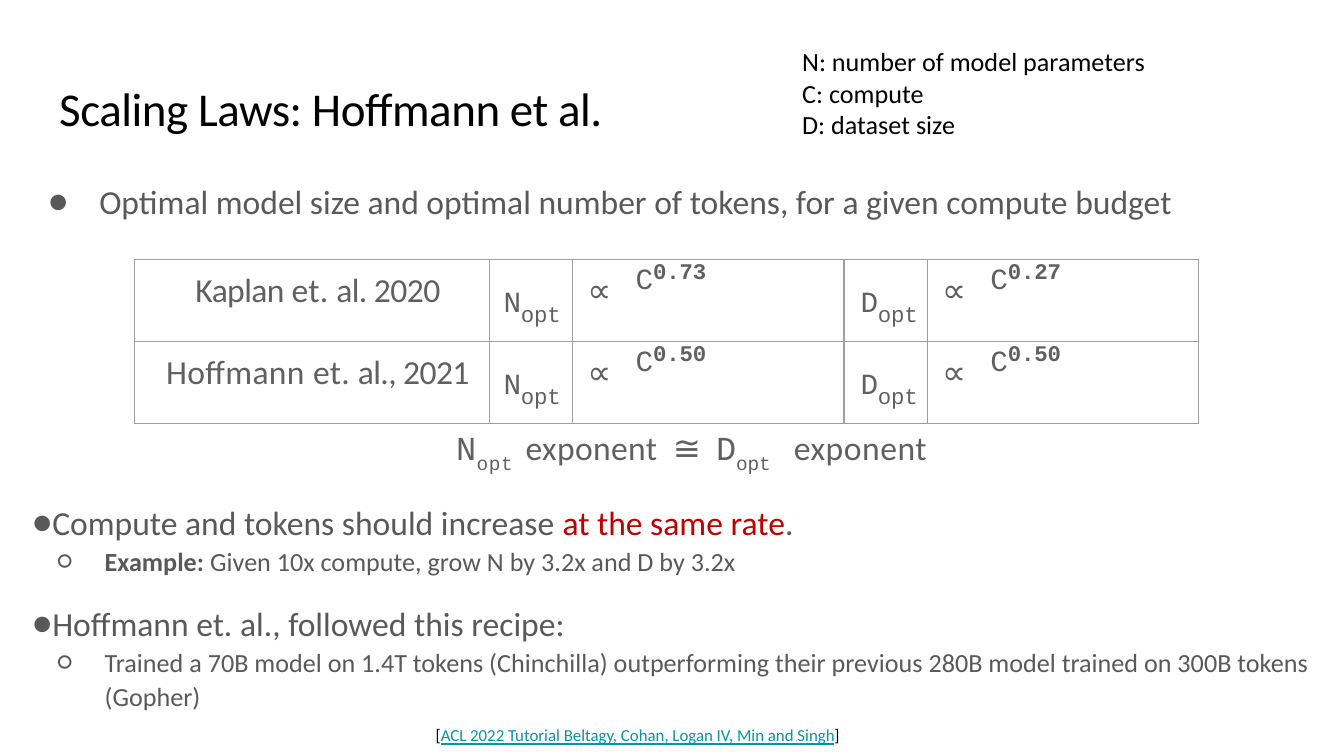
from pptx import Presentation
from pptx.dml.color import RGBColor
from pptx.enum.text import MSO_ANCHOR, PP_ALIGN
from pptx.oxml.ns import qn
from pptx.util import Pt
from lxml.etree import SubElement

PX = 9144
BLACK = RGBColor(0x00, 0x00, 0x00)
GRAY = RGBColor(0x59, 0x59, 0x59)
MID_GRAY = RGBColor(0x60, 0x60, 0x60)
RED = RGBColor(0xC0, 0x00, 0x00)
TEAL = RGBColor(0x00, 0x97, 0xA7)
BORDER = RGBColor(0x9E, 0x9E, 0x9E)
SANS = "Calibri"
MONO = "Courier New"


def px(n):
    return n * PX


def place(sp, box):
    sp.left, sp.top, sp.width, sp.height = [px(v) for v in box]


def set_frame(tf, inset_x=10, inset_y=10):
    tf.word_wrap = True
    tf.vertical_anchor = MSO_ANCHOR.TOP
    tf.margin_left = tf.margin_right = px(inset_x)
    tf.margin_top = tf.margin_bottom = px(inset_y)


def add_textbox(s, box, inset_y=10):
    sp = s.shapes.add_textbox(*[px(v) for v in box])
    set_frame(sp.text_frame, inset_y=inset_y)
    return sp.text_frame


def next_paragraph(tf):
    p = tf.paragraphs[0]
    return tf.add_paragraph() if p.runs else p


def add_run(p, text, size, color, face=SANS, spc=0, base=0, bold=False, underline=False):
    r = p.add_run()
    r.text = text
    f = r.font
    f.size, f.name, f.bold, f.underline = Pt(size), face, bold, underline
    f.color.rgb = color
    rPr = r._r.get_or_add_rPr()
    if spc:
        rPr.set("spc", str(round(spc * 100)))
    if base:
        rPr.set("baseline", str(base * 1000))


def indent(p, left, first=0):
    pPr = p._p.get_or_add_pPr()
    pPr.set("marL", str(px(left)))
    pPr.set("indent", str(px(first)))
    return pPr


def add_bullet(tf, char, left, first, spacing, before=0, level=0):
    p = next_paragraph(tf)
    p.level = level
    pPr = indent(p, left, first)
    clr = SubElement(pPr, qn("a:buClr"))
    SubElement(clr, qn("a:srgbClr"), val=str(GRAY))
    SubElement(pPr, qn("a:buFont"), typeface=SANS)
    SubElement(pPr, qn("a:buChar"), char=char)
    p.line_spacing = spacing
    if before:
        p.space_before = Pt(before)
    return p


def add_title(s, box):
    sp = s.shapes.title
    place(sp, box)
    set_frame(sp.text_frame)
    p = sp.text_frame.paragraphs[0]
    p.alignment = PP_ALIGN.LEFT
    add_run(p, "Scaling Laws: Hoﬀmann et al.", 25.2, BLACK, spc=-0.25)


def add_body(s, box):
    tf = add_textbox(s, box)
    p = add_bullet(tf, "●", 50, -38, 1.05)
    add_run(p, "Optimal model size and optimal number of tokens, for a given compute budget", 18, GRAY)

    p = next_paragraph(tf)
    p.alignment = PP_ALIGN.CENTER
    p.line_spacing = 0.9
    p.space_before = Pt(110)
    for text, face, base, spc in (
        ("N", MONO, 0, 0.2),
        ("opt ", MONO, -30, 0.3),
        ("exponent", SANS, 0, 0.2),
        (" ", SANS, 0, 4),
        ("≅", SANS, 0, 0),
        (" ", SANS, 0, 4),
        ("D", MONO, 0, -0.1),
        ("opt", MONO, -30, -0.1),
        (" ", MONO, -30, 6),
        ("exponent", SANS, 0, 0.3),
    ):
        add_run(p, text, 18, MID_GRAY, face, spc, base)

    p = add_bullet(tf, "●", 4, -38, 1.1, before=15.2)
    add_run(p, "Compute and tokens should increase ", 18, GRAY)
    add_run(p, "at the same rate", 18, RED)
    add_run(p, ".", 18, GRAY)
    p = add_bullet(tf, "○", 54, -35, 1.1, level=1)
    add_run(p, "Example: ", 14, GRAY, bold=True)
    add_run(p, "Given 10x compute, grow N by 3.2x and D by 3.2x", 14, GRAY)

    p = add_bullet(tf, "●", 4, -38, 1.1, before=12)
    add_run(p, "Hoﬀmann et. al., followed this recipe:", 18, GRAY)
    p = add_bullet(tf, "○", 54, -35, 1.1, level=1)
    add_run(p, "Trained a 70B model on 1.4T tokens (Chinchilla) outperforming their previous "
               "280B model trained on 300B tokens (Gopher)", 14, GRAY)


def format_cell(cell, sides, top, align, left=0, right=0):
    tcPr = cell._tc.get_or_add_tcPr()
    for side in "LRTB":
        ln = SubElement(tcPr, qn("a:ln" + side), w=str(Pt(0.75)))
        if side in sides:
            fill = SubElement(ln, qn("a:solidFill"))
            SubElement(fill, qn("a:srgbClr"), val=str(BORDER))
        else:
            SubElement(ln, qn("a:noFill"))
    cell.fill.background()
    cell.vertical_anchor = MSO_ANCHOR.TOP
    cell.margin_left = cell.margin_bottom = 0
    cell.margin_right = px(right)
    cell.margin_top = px(top)
    p = cell.text_frame.paragraphs[0]
    p.alignment = align
    indent(p, left)
    return p


def fill_law(cells, symbol, exponent, align, left, right):
    p = format_cell(cells[0], "LRTB", 16, align, left, right)
    add_run(p, symbol, 27, MID_GRAY, MONO, -0.1, 20)
    add_run(p, "opt", 12, MID_GRAY, MONO, -0.1)
    p = format_cell(cells[1], "LTB", 8, PP_ALIGN.CENTER)
    add_run(p, "∝", 18, MID_GRAY)
    p = format_cell(cells[2], "RTB", 0, PP_ALIGN.LEFT, 7)
    p.line_spacing = Pt(20.9)
    add_run(p, "C", 27, MID_GRAY, MONO, -0.1, -20)
    add_run(p, exponent, 12, MID_GRAY, MONO, -0.1, bold=True)


def add_law_table(s, box):
    rows = (
        ("Kaplan ", -0.3, "al. 2020", "0.73", "0.27"),
        ("Hoﬀmann ", 0.2, "al., 2021", "0.50", "0.50"),
    )
    widths = [264] + [62, 40, 162] * 2
    table = s.shapes.add_table(len(rows), len(widths), *[px(v) for v in box]).table
    table.first_row = table.horz_banding = False
    for col, width in zip(table.columns, widths):
        col.width = px(width)
    for row, (author, spc, year, n_exp, d_exp) in zip(table.rows, rows):
        cells = list(row.cells)
        p = format_cell(cells[0], "LRTB", 8, PP_ALIGN.CENTER, 9)
        add_run(p, author, 18, MID_GRAY, spc=spc)
        add_run(p, "et. ", 18, MID_GRAY, spc=0.1)
        add_run(p, year, 18, MID_GRAY, spc=-0.3)
        fill_law(cells[1:4], "N", n_exp, PP_ALIGN.CENTER, 2, 0)
        fill_law(cells[4:7], "D", d_exp, PP_ALIGN.RIGHT, 0, 7)


def add_citation(s, box):
    p = add_textbox(s, box).paragraphs[0]
    p.alignment = PP_ALIGN.CENTER
    add_run(p, "[", 9, BLACK)
    add_run(p, "ACL 2022 Tutorial Beltagy, Cohan, Logan IV, Min and Singh", 9, TEAL, underline=True)
    add_run(p, "]", 9, BLACK)


def add_legend(s, box):
    tf = add_textbox(s, box, inset_y=5)
    for text in ("N: number of model parameters", "C: compute", "D: dataset size"):
        add_run(next_paragraph(tf), text, 14, BLACK)


def main():
    prs = Presentation()
    prs.slide_width = px(1000)
    prs.slide_height = prs.slide_width * 9 // 16
    s = prs.slides.add_slide(prs.slide_layouts[5])
    add_title(s, (34, 49, 932, 63))
    add_body(s, (14, 123, 1001, 429))
    add_law_table(s, (100, 193, 792, 100))
    add_citation(s, (283, 532, 383, 35))
    add_legend(s, (587, 29, 342, 81))
    prs.save("out.pptx")


if __name__ == "__main__":
    main()
